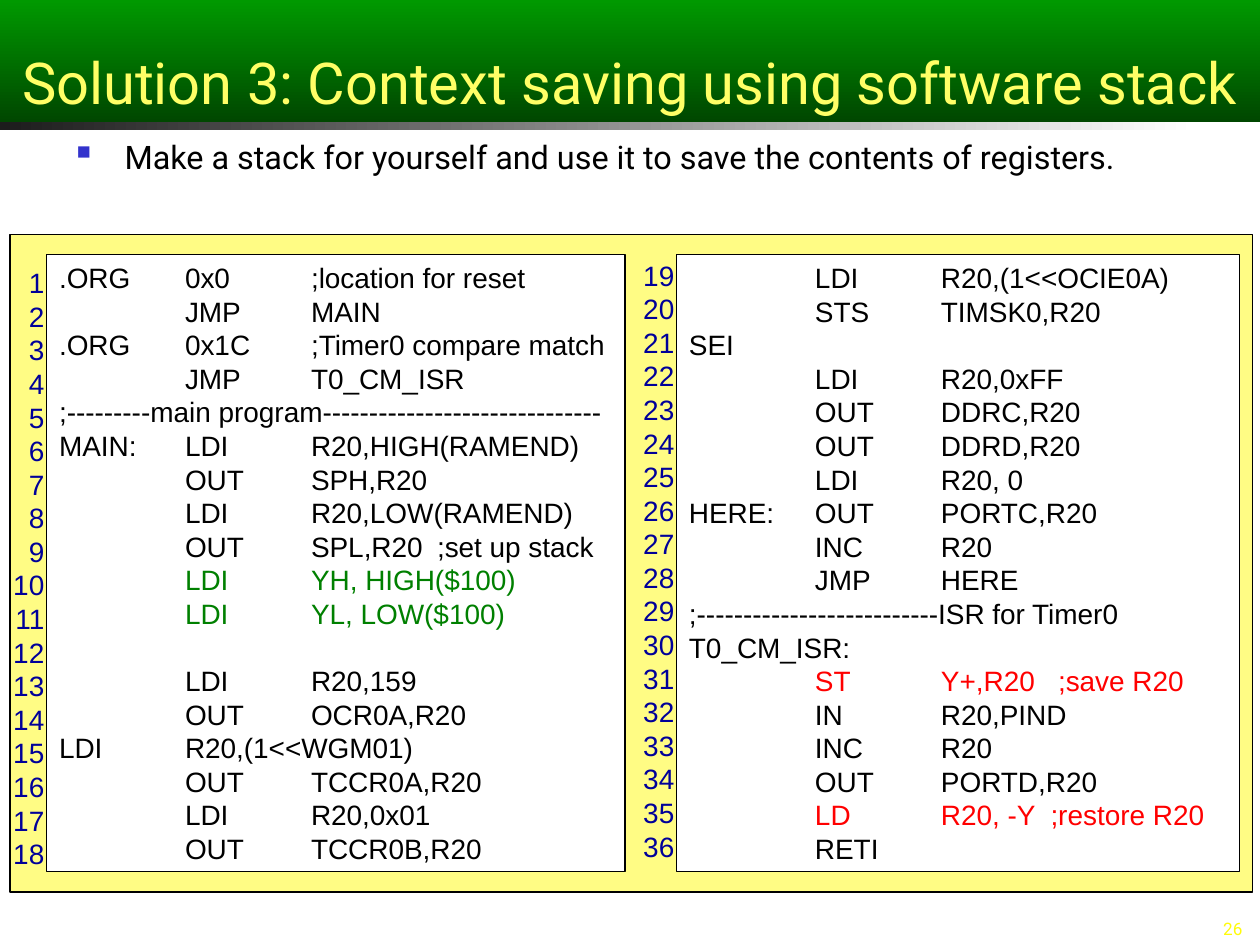
from lxml.etree import SubElement as Sub
from pptx import Presentation
from pptx.dml.color import RGBColor
from pptx.enum.shapes import MSO_SHAPE as Kind
from pptx.enum.text import MSO_ANCHOR as Anchor, PP_ALIGN as Align
from pptx.oxml.ns import qn
from pptx.util import Inches, Pt

COLS, ROWS = 100, 75
WIDE, HIGH = Inches(10), Inches(7.5)
LEFT = """.ORG\t0x0\t;location for reset
\tJMP\tMAIN
.ORG\t0x1C\t;Timer0 compare match
\tJMP\tT0_CM_ISR
;---------main program------------------------------
MAIN:\tLDI\tR20,HIGH(RAMEND)
\tOUT\tSPH,R20
\tLDI\tR20,LOW(RAMEND)
\tOUT\tSPL,R20\t;set up stack
\tLDI\tYH, HIGH($100)
\tLDI\tYL, LOW($100)
\t
\tLDI\tR20,159
\tOUT\tOCR0A,R20
LDI\tR20,(1<<WGM01)
\tOUT\tTCCR0A,R20
\tLDI\tR20,0x01
\tOUT\tTCCR0B,R20"""
RIGHT = """\tLDI\tR20,(1<<OCIE0A)
\tSTS\tTIMSK0,R20
SEI
\tLDI\tR20,0xFF
\tOUT\tDDRC,R20
\tOUT\tDDRD,R20
\tLDI\tR20, 0
HERE:\tOUT\tPORTC,R20
\tINC\tR20
\tJMP\tHERE
;--------------------------ISR for Timer0
T0_CM_ISR:
\tST\tY+,R20   ;save R20
\tIN\tR20,PIND
\tINC\tR20
\tOUT\tPORTD,R20
\tLD\tR20, -Y  ;restore R20
\tRETI"""
TINTS = {10: "008000", 11: "008000", 31: "FF0000", 35: "FF0000"}


def color(code):
    return RGBColor.from_string(code)


def place(box):
    x, y, w, h = box
    return [round(n) for n in (x * WIDE / COLS, y * HIGH / ROWS,
                               w * WIDE / COLS, h * HIGH / ROWS)]


def block(slide, box, fill=None, line=None, fade=None, angle=0):
    shape = slide.shapes.add_shape(Kind.RECTANGLE, *place(box))
    shape.shadow.inherit = False
    if fade:
        shape.fill.gradient()
        shape.fill.gradient_angle = angle
        for stop, code in zip(shape.fill.gradient_stops, fade):
            stop.color.rgb = color(code)
    else:
        shape.fill.solid()
        shape.fill.fore_color.rgb = color(fill)
    if line:
        shape.line.color.rgb = color(line)
        shape.line.width = Pt(0.75)
    else:
        shape.line.fill.background()
    return shape


def label(slide, box):
    return slide.shapes.add_textbox(*place(box))


def write(shape, text, size=16, font="Arial", ink="000000", align=Align.LEFT,
          anchor=Anchor.TOP, wrap=True, gap=None, tabs=0, mark=None, tints=None):
    frame = shape.text_frame
    frame.word_wrap = wrap
    frame.vertical_anchor = anchor
    for at, line in enumerate(text.split("\n")):
        para = frame.paragraphs[0] if at == 0 else frame.add_paragraph()
        para.alignment = align
        para.line_spacing = gap
        props = para._p.get_or_add_pPr()
        if mark:
            indent = Inches(0.38)
            props.set("marL", str(indent))
            props.set("indent", str(-indent))
            Sub(Sub(props, qn("a:buClr")), qn("a:srgbClr"), val=mark)
            Sub(props, qn("a:buSzPct"), val="60000")
            Sub(props, qn("a:buChar"), char="■")
        if tabs:
            stops = Sub(props, qn("a:tabLst"))
            for stop in range(1, tabs + 1):
                Sub(stops, qn("a:tab"), pos=str(Inches(stop)), algn="l")
        run = para.add_run()
        run.text = line
        run.font.size = Pt(size)
        run.font.name = font
        run.font.color.rgb = color((tints or {}).get(at, ink))


def header(slide, box):
    x, y, w, h = box
    block(slide, (x, y + h, w * 0.95, 0.6), fade=("1C1C1C", "FFFFFF"))
    bar = block(slide, box, fade=("009900", "004700"), angle=270)
    write(bar, "Solution 3: Context saving using software stack", size=33,
          font="Roboto", ink="FFFF66", align=Align.CENTER,
          anchor=Anchor.BOTTOM, wrap=False)


def point(slide, box):
    write(label(slide, box),
          "Make a stack for yourself and use it to save the contents of registers.",
          size=18.5, font="Roboto", gap=0.7, mark="3333CC")


def code(slide, box, text, first, drop):
    x, y, w, h = box
    count = len(text.split("\n"))
    tints = {row - first: tint for row, tint in TINTS.items()}
    pitch = Pt(19.2)
    write(block(slide, box, fill="FFFFFF", line="000000"), text,
          gap=pitch, tabs=7, tints=tints)
    rows = "\n".join(str(first + n) for n in range(count))
    write(label(slide, (x - 4.6, y + drop, 5.4, h)), rows,
          ink="000099", align=Align.RIGHT, gap=pitch)


def panel(slide, box):
    x, y, w, h = box
    block(slide, box, fill="FFFC84", line="000000")
    top, tall = y + 1.6, h - 3.2
    code(slide, (x + 2.9, top, 45.9, tall), LEFT, 1, 0.4)
    code(slide, (x + 52.9, top, 44.7, tall), RIGHT, 19, -0.2)


def footer(slide, box):
    write(label(slide, box), "26", size=9.8, font="Roboto", ink="FFFB0B",
          align=Align.RIGHT, anchor=Anchor.BOTTOM, gap=0.8)


def main():
    deck = Presentation()
    deck.slide_width, deck.slide_height = WIDE, HIGH
    slide = deck.slides.add_slide(deck.slide_layouts[6])
    header(slide, (0, 0, COLS, 9.7))
    point(slide, (5.1, 11.2, 90.9, 5.7))
    panel(slide, (0.8, 18.6, 98.6, 52.2))
    footer(slide, (78.3, 72.2, 21.3, 2.8))
    deck.save("out.pptx")


if __name__ == "__main__":
    main()
